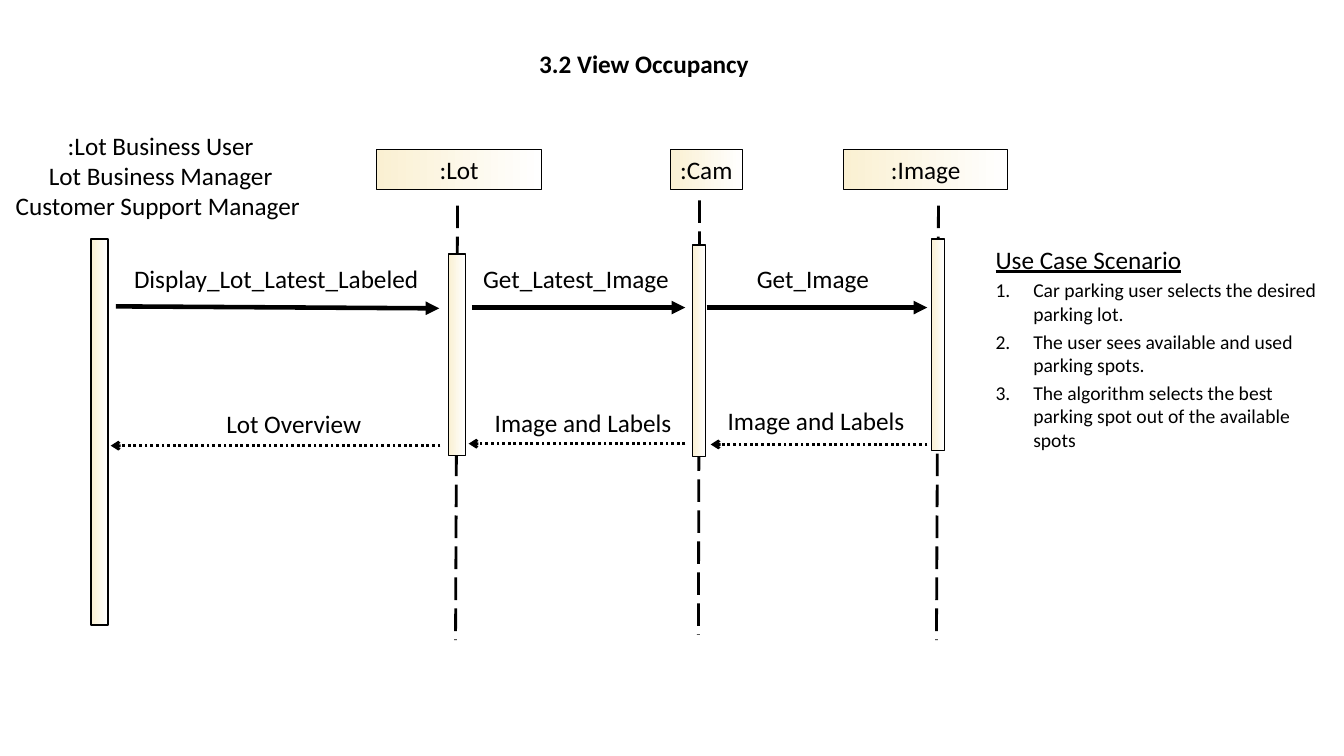
from pptx import Presentation
from pptx.dml.color import RGBColor
from pptx.enum.dml import MSO_LINE
from pptx.enum.shapes import MSO_CONNECTOR, MSO_SHAPE
from pptx.enum.text import MSO_ANCHOR, PP_ALIGN
from pptx.oxml.ns import qn
from pptx.util import Cm, Pt
from lxml import etree

BLACK = RGBColor(0x00, 0x00, 0x00)
CREAM = RGBColor(0xFA, 0xF0, 0xD2)
WHITE = RGBColor(0xFF, 0xFF, 0xFF)
LEFT, CENTER = PP_ALIGN.LEFT, PP_ALIGN.CENTER
TOP = MSO_ANCHOR.TOP
RECT, STRAIGHT = MSO_SHAPE.RECTANGLE, MSO_CONNECTOR.STRAIGHT
LONG_DASH, DOTS = MSO_LINE.LONG_DASH, MSO_LINE.ROUND_DOT
HEAD_Y, HEAD_H = 3.76, 1.02


def write(sp, text, align=CENTER, **formats):
    tf = sp.text_frame
    tf.word_wrap = True
    tf.vertical_anchor = TOP
    tf.text = text
    for p in tf.paragraphs:
        p.alignment = align
        for r in p.runs:
            r.font.color.rgb = BLACK
            for name, value in {"name": "Calibri", "size": Pt(18), **formats}.items():
                setattr(r.font, name, value)
    return tf


def add_line(x1, y1, x2, y2, width, dash=None, head=None):
    line = s.shapes.add_connector(STRAIGHT, Cm(x1), Cm(y1), Cm(x2), Cm(y2))
    line.line.color.rgb = BLACK
    line.line.width = Pt(width)
    if dash:
        line.line.dash_style = dash
    if head:
        etree.SubElement(line.line._get_or_add_ln(), qn("a:tailEnd"), type=head)
    etree.SubElement(line._element.spPr, qn("a:effectLst"))


prs = Presentation()
prs.slide_width, prs.slide_height = Cm(33.87), Cm(19.05)
s = prs.slides.add_slide(prs.slide_layouts[6])

lifelines = [(11.53, 5.18, 11.48), (17.63, 5.05, 17.6), (23.65, 5.18, 23.6)]
for x1, y, x2 in lifelines:
    add_line(x1, y, x2, y + 10.95, 2, LONG_DASH)

boxes = [
    (9.5, HEAD_Y, 4.14, HEAD_H, 0.75, ":Lot", CENTER),
    (16.89, HEAD_Y, 1.83, HEAD_H, 0.75, ":Cam", LEFT),
    (21.26, HEAD_Y, 4.14, HEAD_H, 0.75, ":Image", CENTER),
    (2.29, 6.02, 0.43, 9.73, 1, "", CENTER),
    (11.3, 6.4, 0.43, 5.08, 1, "", CENTER),
    (17.45, 6.17, 0.33, 5.33, 1, "", CENTER),
    (23.47, 6.02, 0.33, 5.33, 1, "", CENTER),
]
for x, y, w, h, border, text, align in boxes:
    sp = s.shapes.add_shape(RECT, Cm(x), Cm(y), Cm(w), Cm(h))
    sp.shadow.inherit = False
    sp.fill.gradient()
    sp.fill.gradient_angle = 0
    for stop, color in zip(sp.fill.gradient_stops, (CREAM, WHITE)):
        stop.color.rgb = color
    sp.line.color.rgb = BLACK
    sp.line.width = Pt(border)
    if text:
        write(sp, text, align)

calls = [(2.92, 7.72, 11.07, 7.77), (11.89, 7.75, 17.27, 7.75), (17.81, 7.75, 23.37, 7.75)]
for ends in calls:
    add_line(*ends, 3.25, head="triangle")

replies = [(11.1, 11.23, 2.79), (17.27, 11.18, 11.81), (23.37, 11.2, 17.91)]
for x1, y, x2 in replies:
    add_line(x1, y, x2, y, 2, DOTS, "arrow")

labels = [
    (-0.18, 3.15, 8.46, 2.57,
     ":Lot Business User\vLot Business Manager\nCustomer Support Manager "),
    (3.05, 6.5, 7.82, 1.02, "Display_Lot_Latest_Labeled"),
    (11.63, 6.5, 5.77, 1.02, "Get_Latest_Image"),
    (17.6, 6.5, 5.77, 1.02, "Get_Image"),
    (3.99, 10.16, 6.83, 1.02, "Lot Overview"),
    (11.81, 10.13, 5.77, 1.02, "Image and Labels"),
    (17.68, 10.08, 5.77, 1.02, "Image and Labels"),
]
for x, y, w, h, text in labels:
    write(s.shapes.add_textbox(Cm(x), Cm(y), Cm(w), Cm(h)), text)

title = s.shapes.add_textbox(Cm(13.34), Cm(1.09), Cm(7.24), Cm(1.02))
write(title, "3.2 View Occupancy", LEFT, bold=True)

steps = [
    "Car parking user selects the desired parking lot.",
    "The user sees available and used parking spots.",
    "The algorithm selects the best parking spot out of the available spots",
]
scenario = s.shapes.add_textbox(Cm(24.84), Cm(6.02), Cm(8.64), Cm(5.54))
tf = write(scenario, "\n".join(["Use Case Scenario", *steps]), LEFT, size=Pt(14))
heading, *items = tf.paragraphs
heading.runs[0].font.size = Pt(18)
heading.runs[0].font.underline = True
for p in items:
    p.space_before = Pt(3)
    pPr = p._p.get_or_add_pPr()
    pPr.set("marL", str(Cm(0.95)))
    pPr.set("indent", str(-Cm(0.95)))
    etree.SubElement(pPr, qn("a:buFont"), typeface="+mj-lt")
    etree.SubElement(pPr, qn("a:buAutoNum"), type="arabicPeriod")

prs.save("out.pptx")
